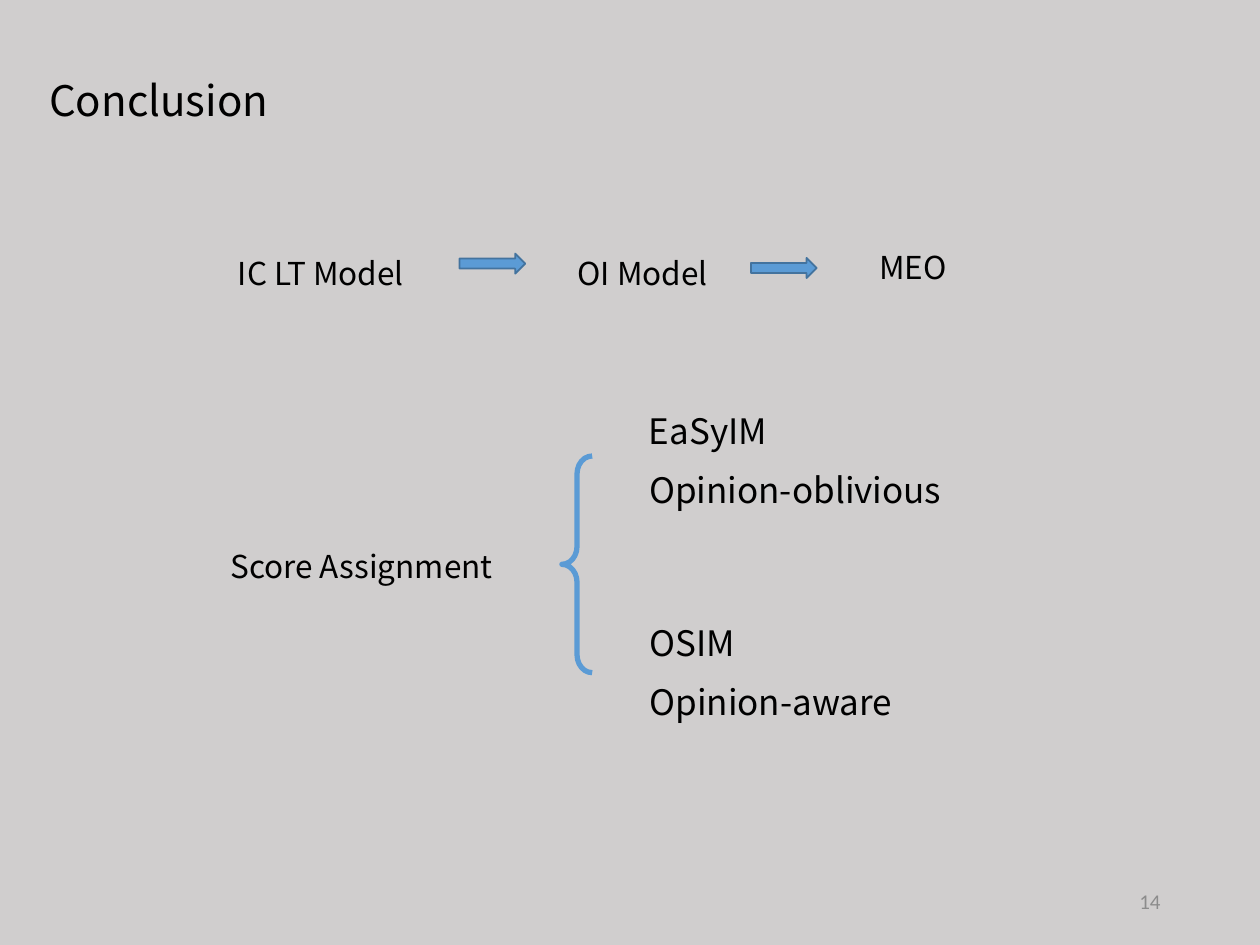
from dataclasses import dataclass

from pptx import Presentation
from pptx.dml.color import RGBColor
from pptx.enum.shapes import MSO_SHAPE
from pptx.enum.text import MSO_ANCHOR, MSO_AUTO_SIZE, PP_ALIGN
from pptx.util import Pt

ARROW, BRACE = MSO_SHAPE.RIGHT_ARROW, MSO_SHAPE.LEFT_BRACE
TOP, MIDDLE = MSO_ANCHOR.TOP, MSO_ANCHOR.MIDDLE
LEFT, CENTER, RIGHT = PP_ALIGN.LEFT, PP_ALIGN.CENTER, PP_ALIGN.RIGHT
FIXED = MSO_AUTO_SIZE.NONE
GROW = MSO_AUTO_SIZE.SHAPE_TO_FIT_TEXT
SANS = "Noto Sans CJK SC"
COLORS = {"back": "D0CECE", "ink": "000000", "page": "8C8C8C",
          "blue": "5B9BD5", "edge": "43739E"}


@dataclass
class Label:
    """A line of text with its box in points."""
    text: str
    box: tuple[float, float, float, float]
    size: float = 18
    align: PP_ALIGN = LEFT
    space: float = 1.0
    font: str = SANS
    color: str = "ink"
    anchor: MSO_ANCHOR = TOP
    wrap: bool = False
    fit: MSO_AUTO_SIZE = GROW


TITLE = Label("Conclusion", (20.9, 38.9, 142.6, 36), 24)
NUMBER = Label("14", (508.3, 500.4, 162, 28.8), 12, RIGHT, font="Calibri",
               color="page", anchor=MIDDLE, wrap=True, fit=FIXED)
SCORES = [
    Label("EaSyIM", (363.8, 230.4, 84.2, 31.7), 20),
    Label("Opinion-oblivious", (363.8, 264.4, 188.6, 31.7), 20),
    Label("OSIM", (364, 351.8, 68.4, 31.7), 20),
    Label("Opinion-aware", (364, 385.4, 158.4, 31.7), 20),
    Label("Score Assignment", (124.6, 308.9, 170.6, 28.8)),
]
MODELS = [
    Label("IC LT Model", (124.6, 131, 117.4, 36), align=CENTER, space=1.5),
    Label("OI Model", (319, 131, 96.5, 40.3), align=CENTER, space=1.5),
    Label("MEO", (495.4, 138.2, 56.9, 28.8)),
]
ARROWS = [(262.6, 144.9), (429.1, 147.4)]


def tint(name: str) -> RGBColor:
    """Return a named colour."""
    return RGBColor.from_string(COLORS[name])


def style(item, values: dict) -> None:
    """Set each format value on an item."""
    for key, value in values.items():
        setattr(item, key, value)


def write(shape, label: Label) -> None:
    """Put a label's text and format into a shape."""
    frame = shape.text_frame
    frame.text = label.text
    style(frame, {"word_wrap": label.wrap, "auto_size": label.fit,
                  "vertical_anchor": label.anchor})
    line = frame.paragraphs[0]
    style(line, {"alignment": label.align, "line_spacing": label.space})
    font = line.runs[0].font
    style(font, {"name": label.font, "size": Pt(label.size)})
    font.color.rgb = tint(label.color)


def add_label(shapes, label: Label) -> None:
    """Add a text box for a label."""
    write(shapes.add_textbox(*map(Pt, label.box)), label)


def add_form(shapes, kind: MSO_SHAPE, box: tuple, edge: str, width: float,
             fill: str = ""):
    """Add a preset shape with an outline and perhaps a fill."""
    form = shapes.add_shape(kind, *map(Pt, box))
    form.shadow.inherit = False
    if fill:
        form.fill.solid()
        form.fill.fore_color.rgb = tint(fill)
    else:
        form.fill.background()
    form.line.color.rgb = tint(edge)
    form.line.width = Pt(width)
    return form


def main() -> None:
    """Build and save the slide."""
    deck = Presentation()
    style(deck, {"slide_width": Pt(720), "slide_height": Pt(540)})
    slide = deck.slides.add_slide(deck.slide_layouts[5])
    back = slide.background.fill
    back.solid()
    back.fore_color.rgb = tint("back")

    title = slide.shapes.title
    style(title, dict(zip(("left", "top", "width", "height"),
                          map(Pt, TITLE.box))))
    write(title, TITLE)
    add_label(slide.shapes, NUMBER)

    scores = slide.shapes.add_group_shape().shapes
    brace = add_form(scores, BRACE, (321.1, 260.6, 17.3, 123.8), "blue", 3)
    brace.adjustments[0] = 0.59
    for label in SCORES:
        add_label(scores, label)

    models = slide.shapes.add_group_shape().shapes
    for label in MODELS:
        add_label(models, label)
    for left, top in ARROWS:
        add_form(models, ARROW, (left, top, 37.6, 11.5), "edge", 1, "blue")

    deck.save("out.pptx")


main()
